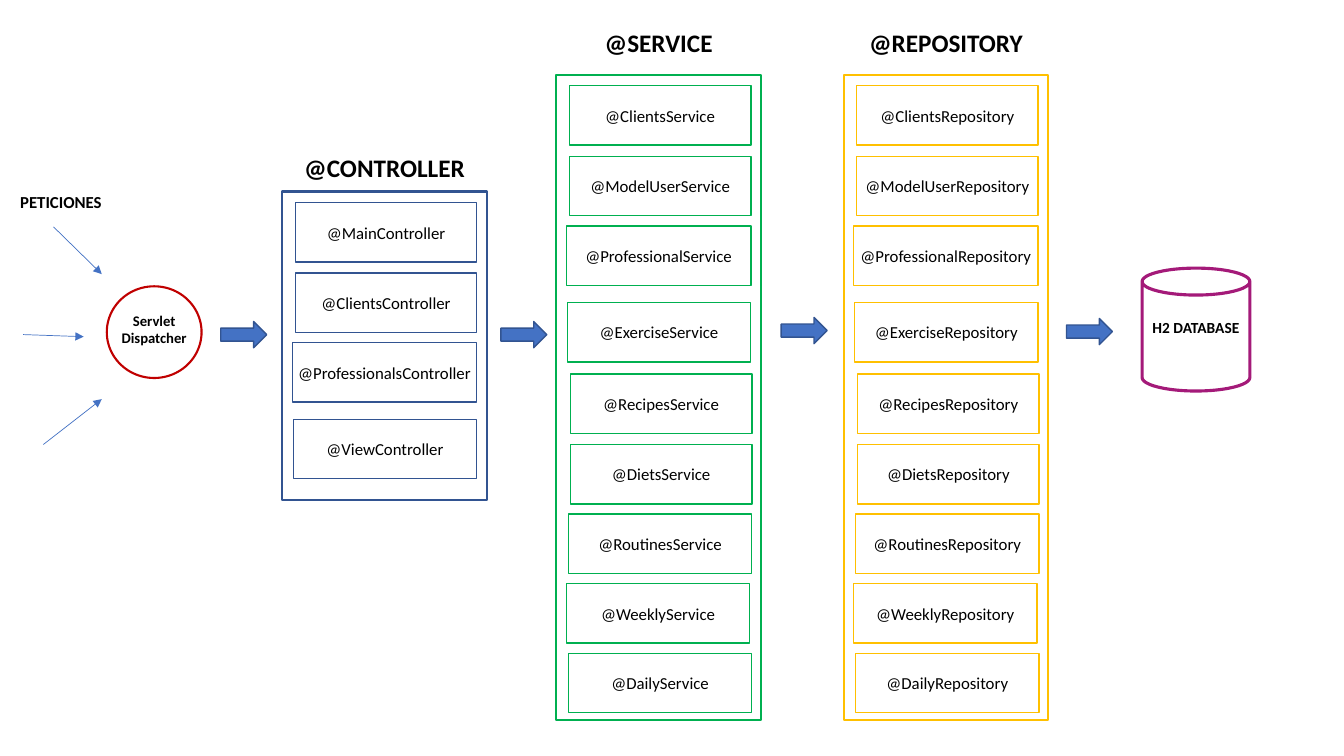
from lxml.etree import SubElement
from pptx import Presentation
from pptx.dml.color import RGBColor
from pptx.enum.shapes import MSO_CONNECTOR, MSO_SHAPE
from pptx.enum.text import MSO_ANCHOR, PP_ALIGN
from pptx.oxml.ns import qn
from pptx.util import Pt

BLACK = RGBColor(0x00, 0x00, 0x00)
RED = RGBColor(0xC0, 0x00, 0x00)
NAVY = RGBColor(0x32, 0x54, 0x91)
BLUE = RGBColor(0x44, 0x72, 0xC4)
GREEN = RGBColor(0x00, 0xB0, 0x50)
GOLD = RGBColor(0xFF, 0xC0, 0x00)
PURPLE = RGBColor(0xA4, 0x1A, 0x79)

ENTITIES = ["Clients", "ModelUser", "Professional", "Exercise", "Recipes",
            "Diets", "Routines", "Weekly", "Daily"]
CONTROLLERS = ["Main", "Clients", "Professionals", "View"]
# layer, entities, colour, frame left, frame top, frame height, title top
LAYERS = [
    ("Controller", CONTROLLERS, NAVY, 201.6, 136.8, 220.3, 105.1),
    ("Service", ENTITIES, GREEN, 397.4, 53.3, 460.8, 15.8),
    ("Repository", ENTITIES, GOLD, 602.6, 53.3, 460.8, 15.8),
]
# left and top inside the frame, width: the same in every layer
ROWS = [(9.4, 7.9, 129.6), (9.4, 58.3, 129.6), (7.2, 108, 131.8),
        (7.9, 162.7, 131), (10.1, 213.8, 129.6), (10.1, 264.2, 129.6),
        (8.6, 313.9, 131), (7.2, 363.6, 131), (8.6, 413.3, 131)]
FRAME_WIDTH, ROW_HEIGHT = 146.2, 42.5
FLOW_ARROWS = [(157.7, 229.7), (357.8, 229.7), (558, 226.8), (761.8, 227.5)]
REQUESTS = [(38.2, 162, 72.7, 195.8), (16.6, 239, 59.8, 240.5),
            (31, 317.5, 72.7, 285.1)]

deck = Presentation()
deck.slide_width, deck.slide_height = Pt(960), Pt(540)
page = deck.slides.add_slide(deck.slide_layouts[6])


def write(box, text, size=12, bold=False, align=PP_ALIGN.CENTER,
          anchor=MSO_ANCHOR.MIDDLE):
    """Put formatted text into a shape or text box."""
    frame = box.text_frame
    frame.word_wrap = True
    frame.vertical_anchor = anchor
    frame.margin_left = frame.margin_right = 0
    frame.margin_top = frame.margin_bottom = Pt(3.6)
    para = frame.paragraphs[0]
    para.alignment = align
    span = para.add_run()
    span.text = text
    span.font.name, span.font.size, span.font.bold = "Calibri", Pt(size), bold
    span.font.color.rgb = BLACK


def add_label(text, left, top, width, height, **style):
    """Add a bold text box that starts at its top edge."""
    box = page.shapes.add_textbox(Pt(left), Pt(top), Pt(width), Pt(height))
    write(box, text, bold=True, anchor=MSO_ANCHOR.TOP, **style)


def add_outline(kind, left, top, width, height, color, weight, fill=None):
    """Add a preset shape with an outline and an optional fill."""
    shape = page.shapes.add_shape(kind, Pt(left), Pt(top), Pt(width), Pt(height))
    shape.shadow.inherit = False
    shape.line.color.rgb, shape.line.width = color, Pt(weight)
    if fill is None:
        shape.fill.background()
    else:
        shape.fill.solid()
        shape.fill.fore_color.rgb = fill
    return shape


def add_request(*ends):
    """Add a thin arrow towards the dispatcher."""
    arrow = page.shapes.add_connector(MSO_CONNECTOR.STRAIGHT, *map(Pt, ends))
    arrow.line.color.rgb, arrow.line.width = BLUE, Pt(0.5)
    properties = arrow.element.spPr
    SubElement(properties.find(qn("a:ln")), qn("a:tailEnd"), type="triangle")
    SubElement(properties, qn("a:effectLst"))


def add_layer(layer, entities, color, left, top, height, title_top):
    """Add a titled frame with one box per entity."""
    add_outline(MSO_SHAPE.RECTANGLE, left, top, FRAME_WIDTH, height, color, 1.5)
    add_label("@" + layer.upper(), left, title_top, FRAME_WIDTH, 29, size=18)
    for entity, (inset, drop, width) in zip(entities, ROWS):
        box = add_outline(MSO_SHAPE.RECTANGLE, left + inset, top + drop,
                          width, ROW_HEIGHT, color, 1)
        write(box, f"@{entity}{layer}")


add_label("PETICIONES", 14.4, 133.2, 72, 21.6, align=PP_ALIGN.LEFT)
for request in REQUESTS:
    add_request(*request)
add_outline(MSO_SHAPE.OVAL, 76.3, 204.5, 67.7, 65.5, RED, 1.5)
add_label("Servlet Dispatcher", 76.3, 218.9, 67.7, 32.4, size=10.5)

for layer in LAYERS:
    add_layer(*layer)
for left, top in FLOW_ARROWS:
    add_outline(MSO_SHAPE.RIGHT_ARROW, left, top, 32.8, 18.7, NAVY, 1, fill=BLUE)

add_outline(MSO_SHAPE.CAN, 815.8, 191.5, 77, 87.8, PURPLE, 2.25)
add_label("H2 DATABASE", 815.8, 223.9, 77, 33.8, size=11)

deck.save("out.pptx")
